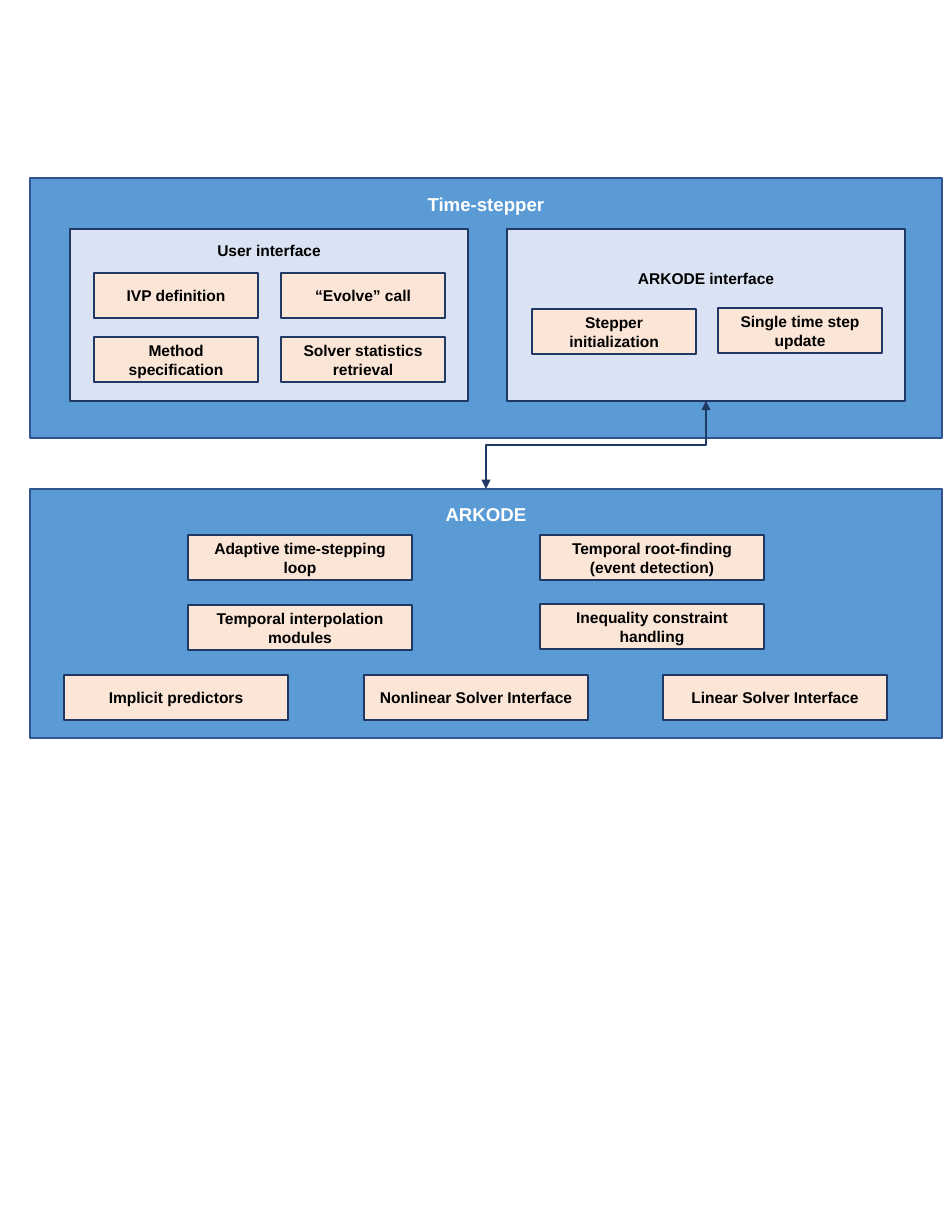
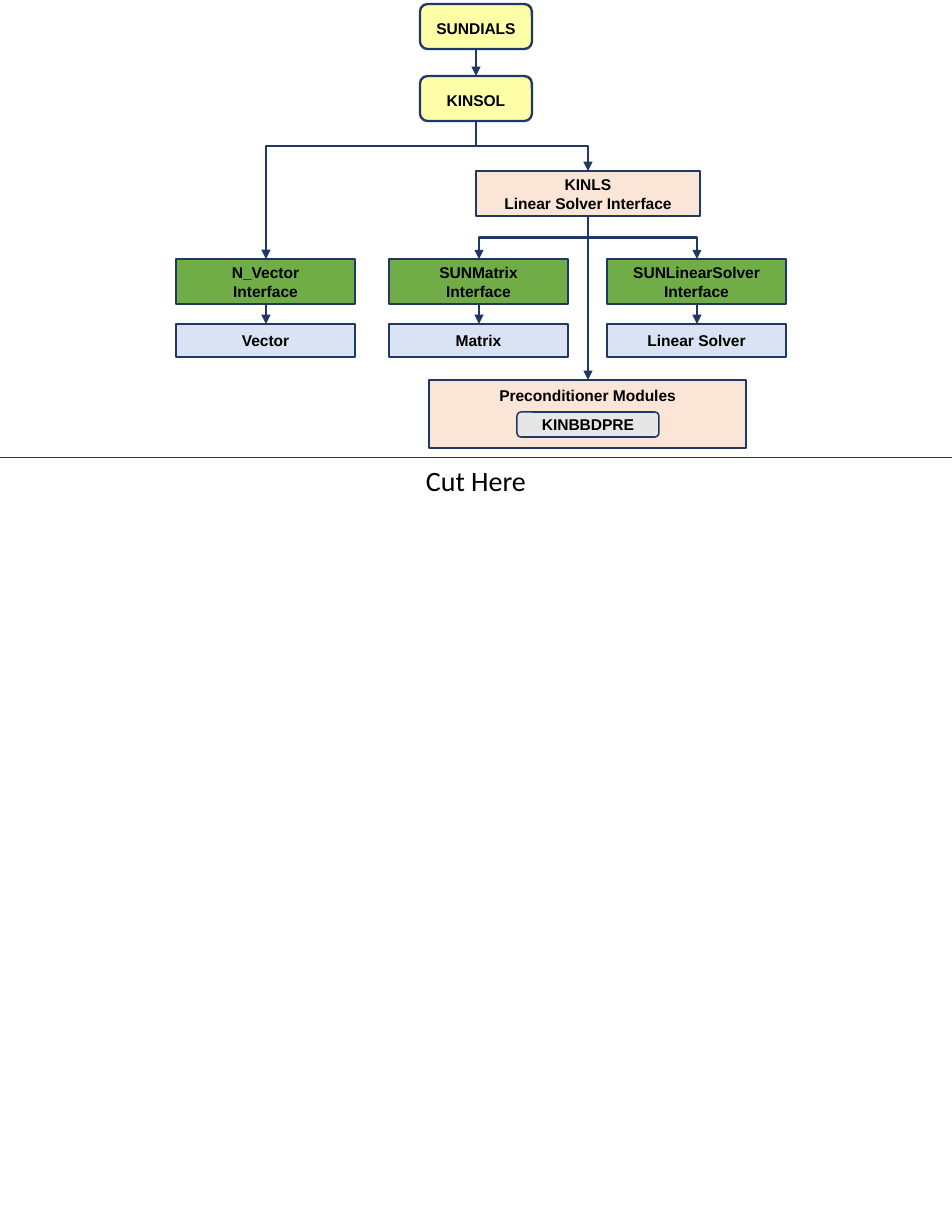
import pptx
import pptx.util
import pptx.dml.color
import pptx.enum.shapes
import pptx.enum.text
import lxml.etree

Pt = pptx.util.Pt
tint = pptx.dml.color.RGBColor.from_string
KIND = pptx.enum.shapes.MSO_SHAPE
WIRE = pptx.enum.shapes.MSO_CONNECTOR
ANCHOR = pptx.enum.text.MSO_ANCHOR
CENTER = pptx.enum.text.PP_ALIGN.CENTER
NS = "{http://schemas.openxmlformats.org/drawingml/2006/main}"
PX = 914400 / 112

NAVY, BLUE, EDGE = "203864", "5B9BD5", "325491"
PALE, PEACH, GREEN = "DAE3F3", "FBE5D6", "70AD47"
YELLOW, GRAY, BLACK, WHITE = "FFFF00", "E7E6E6", "000000", "FFFFFF"


def box(slide, text, x, y, w, h, fill, kind=KIND.RECTANGLE, edge=NAVY,
        width=1, ink=BLACK, size=10, top=None):
    shape = slide.shapes.add_shape(kind, *[round(v * PX) for v in (x, y, w, h)])
    shape.shadow.inherit = False
    shape.fill.solid()
    shape.fill.fore_color.rgb = tint(fill)
    shape.line.color.rgb = tint(edge)
    shape.line.width = Pt(width)
    frame = shape.text_frame
    frame.word_wrap = True
    frame.vertical_anchor = ANCHOR.MIDDLE
    if top is not None:
        frame.vertical_anchor = ANCHOR.TOP
        frame.margin_top = round(top * PX)
    frame.text = text
    for para in frame.paragraphs:
        para.alignment = CENTER
        para.font.name = "Arial"
        para.font.size = Pt(size)
        para.font.bold = True
        para.font.color.rgb = tint(ink)
    return shape


def link(slide, x1, y1, x2, y2, ends=("tailEnd",), width=1.5, bend=0.5):
    bent = x1 != x2 and y1 != y2
    kind, spots = WIRE.STRAIGHT, (x1, y1, x2, y2)
    if bent:
        kind = WIRE.ELBOW
        midx, midy = (x1 + x2) / 2, (y1 + y2) / 2
        halfw, halfh = abs(y2 - y1) / 2, abs(x2 - x1) / 2
        spots = (midx - halfw, midy - halfh, midx + halfw, midy + halfh)
    wire = slide.shapes.add_connector(kind, *[round(v * PX) for v in spots])
    wire.line.color.rgb = tint(NAVY)
    wire.line.width = Pt(width)
    props = wire._element.spPr
    if bent:
        frame = props.find(NS + "xfrm")
        frame.set("rot", str((90 if x2 < x1 else 270) * 60000))
        if x2 > x1:
            frame.set("flipH", "1")
        guides = props.find(NS + "prstGeom").find(NS + "avLst")
        lxml.etree.SubElement(guides, NS + "gd", name="adj1",
                              fmla=f"val {round(bend * 100000)}")
    for end in ends:
        lxml.etree.SubElement(props.find(NS + "ln"), NS + end, type="triangle")
    lxml.etree.SubElement(props, NS + "effectLst")


deck = pptx.Presentation()
deck.slide_width = pptx.util.Inches(8.5)
deck.slide_height = pptx.util.Inches(11)
blank = deck.slide_layouts[6]

slide = deck.slides.add_slide(blank)
for text, y, h, top in (("ARKODE", 489, 249, 14), ("Time-stepper", 178, 260, 15)):
    box(slide, text, 30, y, 912, h, BLUE, edge=EDGE, ink=WHITE, size=12, top=top)
for text, x, top in (("User interface", 70, 12), ("ARKODE interface", 507, 40)):
    box(slide, text, x, 229, 398, 172, PALE, top=top)

for text, x, y in (
    ("IVP definition", 94, 273),
    ("“Evolve” call", 281, 273),
    ("Method specification", 94, 337),
    ("Solver statistics retrieval", 281, 337),
    ("Stepper initialization", 532, 309),
    ("Single time step update", 718, 308),
):
    box(slide, text, x, y, 164, 45, PEACH)

for text, x, y in (
    ("Adaptive time-stepping loop", 188, 535),
    ("Temporal root-finding (event detection)", 540, 535),
    ("Temporal interpolation modules", 188, 605),
    ("Inequality constraint handling", 540, 604),
    ("Implicit predictors", 64, 675),
    ("Nonlinear Solver Interface", 364, 675),
    ("Linear Solver Interface", 663, 675),
):
    box(slide, text, x, y, 224, 45, PEACH)
link(slide, 706, 401, 486, 489, ends=("headEnd", "tailEnd"))

slide = deck.slides.add_slide(blank)
for text, y in (("SUNDIALS", 4), ("KINSOL", 76)):
    node = box(slide, text, 420, y, 112, 45, YELLOW, KIND.ROUNDED_RECTANGLE, width=1.5)
    node.text_frame.paragraphs[0].line_spacing = 1.2
    paint = node._element.spPr.find(NS + "solidFill")[0]
    lxml.etree.SubElement(paint, NS + "alpha", val="34000")

box(slide, "KINLS\nLinear Solver Interface", 476, 171, 224, 45, PEACH)
for name, part, x in (
    ("N_Vector", "Vector", 176),
    ("SUNMatrix", "Matrix", 389),
    ("SUNLinearSolver", "Linear Solver", 607),
):
    box(slide, name + "\nInterface", x, 259, 179, 45, GREEN)
    box(slide, part, x, 324, 179, 33, PALE)
    link(slide, x + 90, 304, x + 90, 324)

box(slide, "Preconditioner Modules", 429, 380, 317, 68, PEACH, top=6)
box(slide, "KINBBDPRE", 517, 412, 142, 25, GRAY, KIND.ROUNDED_RECTANGLE)

link(slide, 476, 49, 476, 76)
link(slide, 476, 121, 266, 259, bend=0.18)
link(slide, 476, 121, 588, 171)
link(slide, 588, 216, 479, 259)
link(slide, 588, 216, 697, 259)
link(slide, 588, 216, 588, 380)
link(slide, 0, 457, 952, 457, ends=(), width=0.5)

note = slide.shapes.add_textbox(*[round(v * PX) for v in (339, 458, 274, 45)])
note.text_frame.word_wrap = True
note.text_frame.vertical_anchor = ANCHOR.MIDDLE
note.text_frame.text = "Cut Here"
para = note.text_frame.paragraphs[0]
para.alignment = CENTER
para.font.name = "Calibri"
para.font.size = Pt(18)
para.font.color.rgb = tint(BLACK)

deck.save("out.pptx")
